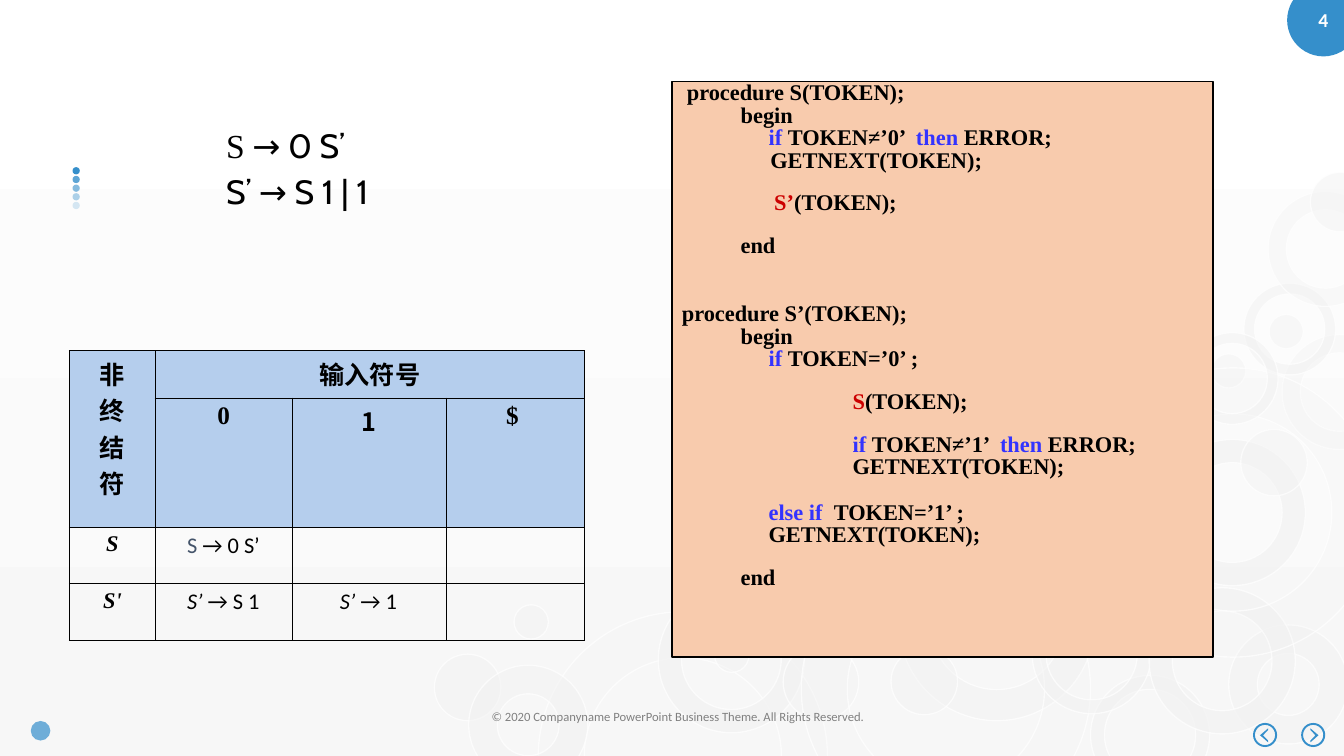
"""Builds a slide on recursive-descent procedures and their parsing table."""
from dataclasses import dataclass
from typing import Any, NamedTuple

from lxml import etree
from pptx import Presentation
from pptx import util as u
from pptx.dml.color import RGBColor
from pptx.enum import shapes, text
from pptx.oxml.ns import qn

Pt = u.Pt
BLUE = RGBColor(0x35, 0x8F, 0xCB)
BUBBLE = RGBColor(0xF2, 0xF2, 0xF2)
WHITE = RGBColor(0xFF, 0xFF, 0xFF)
MIST = RGBColor(0xF7, 0xF7, 0xF7)
BLACK = RGBColor(0, 0, 0)
GREY = RGBColor(0x80, 0x80, 0x80)
SLATE = RGBColor(0x44, 0x54, 0x6A)
PEACH = RGBColor(0xF8, 0xCB, 0xAD)
HEADER = RGBColor(0xB5, 0xCE, 0xED)
KEYWORD = RGBColor(0x33, 0x33, 0xFF)
CALL = RGBColor(0xCC, 0, 0)
SERIF, SANS, HAN, ROUND = "Times New Roman", "Calibri", "Noto Sans CJK SC", "Cabin"
CENTER, LEFT = text.PP_ALIGN.CENTER, text.PP_ALIGN.LEFT


class Bubble(NamedTuple):
    left: float
    top: float
    size: float
    ring: float
    opacity: int


class Span(NamedTuple):
    words: str
    size: float = 16
    font: str = SERIF
    color: RGBColor = BLACK
    bold: bool = True
    italic: bool = False


@dataclass
class Line:
    spans: list[Span]
    indent: float = 0
    before: float = 3.2
    align: Any = LEFT
    spacing: float = 0


@dataclass
class Entry:
    row: int
    col: int
    line: Line
    left: float = 14.4


BUBBLES = [Bubble(*b) for b in (
    (828, 313.9, 104.4, 0.159, 75), (915.8, 239, 82.1, 0.159, 31),
    (384.5, 437, 206.6, 0.159, 13), (779, 482.4, 85, 0.117, 54),
    (888.5, 202.3, 65.5, 0.117, 54), (886.3, 306.7, 47.5, 0, 47),
    (865.4, 252.7, 24.5, 0, 47), (642.2, 375.1, 139.7, 0.159, 42),
    (470.2, 419, 104.4, 0.159, 75), (559.4, 460.1, 54, 0, 39),
    (572.4, 388.8, 206.6, 0.159, 13), (737.3, 424.8, 85, 0.117, 54),
    (877.7, 446.4, 85, 0.24, 54), (310.3, 467.3, 47.5, 0, 47),
    (510.5, 455.8, 24.5, 0, 47), (820.8, 419.8, 104.4, 0.159, 75),
    (905.8, 136.8, 82.1, 0.159, 31), (936, 123.1, 42.5, 0, 47),
    (777.6, 262.8, 206.6, 0.159, 13), (847.4, 237.6, 65.5, 0.117, 54),
    (334.8, 475.2, 85, 0.24, 54), (906.5, 224.6, 24.5, 0, 47),
    (636.5, 463, 47.5, 0, 47), (367.2, 432, 24.5, 0, 47))]


def code(indent: float, *parts: Any, before: float = 3.2) -> Line:
    spans = [Span(p) if isinstance(p, str) else Span(p[0], color=p[1]) for p in parts]
    return Line(spans, indent, before, spacing=13)


IF, THEN = ("if ", KEYWORD), (" then ", KEYWORD)
PROCEDURES = [
    code(3.6, "procedure S(TOKEN);"),
    code(42, "begin"),
    code(62, IF, "TOKEN≠’0’ ", THEN, "ERROR;"),
    code(63.2, "GETNEXT(TOKEN);"),
    code(66, ("S’", CALL), "(TOKEN);", before=17.4),
    code(42, "end", before=17.4),
    code(0, "procedure S’(TOKEN);", before=35.6),
    code(42, "begin"),
    code(62, IF, "TOKEN=’0’ ;"),
    code(122, ("S", CALL), "(TOKEN);", before=17.4),
    code(122, IF, "TOKEN≠’1’ ", THEN, "ERROR;", before=17.4),
    code(122, "GETNEXT(TOKEN);"),
    code(62, ("else if  ", KEYWORD), "TOKEN=’1’ ;", before=19.4),
    code(62, "GETNEXT(TOKEN);"),
    code(42, "end", before=17.4)]
GRAMMAR = [
    Line([Span("S", 24, bold=False), Span(" → 0 S’", 24, ROUND, bold=False)], 99, spacing=28),
    Line([Span("S’ → S 1 | 1", 24, ROUND, bold=False)], 99, 4.8, spacing=28)]


def heading(words: str, font: str = SERIF, size: float = 18, italic: bool = False) -> Line:
    return Line([Span(words, size, font, italic=italic)], align=CENTER)


def rule(head: str, tail: str, color: RGBColor = BLACK, italic: bool = True) -> Line:
    return Line([Span(head, 16, SANS, color, False, italic), Span(tail, 16, SANS, bold=False)])


PARSING_TABLE = [
    Entry(0, 0, heading("非终结符", HAN)), Entry(0, 1, heading("输入符号", HAN)),
    Entry(1, 1, heading("0")), Entry(1, 2, heading("1", HAN)), Entry(1, 3, heading("$ ")),
    Entry(2, 0, heading("S", size=16, italic=True)),
    Entry(2, 1, rule("S", " → 0 S’", SLATE, False), 22.8),
    Entry(3, 0, heading("S'", size=16, italic=True)),
    Entry(3, 1, rule("S’ ", "→ S 1"), 22.8), Entry(3, 2, rule("S’", " → 1"), 34)]


def style(target: Any, formats: dict[str, Any]) -> None:
    for name, value in formats.items():
        setattr(target, name, value)


def fade(parent: Any, percent: int) -> None:
    color = parent.find(qn("a:solidFill"))[0]
    etree.SubElement(color, qn("a:alpha")).set("val", str(percent * 1000))


def write(frame: Any, lines: list[Line]) -> None:
    for index, line in enumerate(lines):
        para = frame.add_paragraph() if index else frame.paragraphs[0]
        para.alignment = line.align
        if line.indent:
            para._p.get_or_add_pPr().set("marL", str(Pt(line.indent)))
        if line.spacing:
            para.line_spacing = Pt(line.spacing)
        if index:
            para.space_before = Pt(line.before)
        for span in line.spans:
            run = para.add_run()
            run.text = span.words
            style(run.font, {"size": Pt(span.size), "name": span.font,
                             "bold": span.bold, "italic": span.italic})
            run.font.color.rgb = span.color
            if span.font == HAN:
                etree.SubElement(run._r.rPr, qn("a:ea")).set("typeface", HAN)


def paint(shape: Any, fill: RGBColor, line: RGBColor | None = None) -> Any:
    shape.shadow.inherit = False
    shape.fill.solid()
    shape.fill.fore_color.rgb = fill
    if line is None:
        shape.line.fill.background()
    else:
        shape.line.color.rgb = line
        shape.line.width = Pt(1)
    return shape


def add_round(slide: Any, b: Bubble, fill: RGBColor, line: RGBColor | None = None) -> Any:
    kind = shapes.MSO_SHAPE.DONUT if b.ring else shapes.MSO_SHAPE.OVAL
    circle = slide.shapes.add_shape(kind, Pt(b.left), Pt(b.top), Pt(b.size), Pt(b.size))
    if b.ring:
        circle.adjustments[0] = b.ring
    paint(circle, fill, line)
    if b.opacity < 100:
        fade(circle._element.spPr, b.opacity)
    if line is not None:
        fade(circle._element.spPr.find(qn("a:ln")), 70)
    return circle


def add_arrow_button(slide: Any, left: float, tip: float, direction: int) -> None:
    add_round(slide, Bubble(left, 516.4, 17.2, 0.08, 100), BLUE)
    outline = [(-5.8, -5), (-5.8, -3.8), (-2.2, 0), (-5.8, 3.8), (-5.8, 5), (0, 0)]
    points = [(Pt(tip + direction * x), Pt(525.2 + y)) for x, y in outline]
    pen = slide.shapes.build_freeform(*points[0])
    pen.add_line_segments(points[1:], close=True)
    paint(pen.convert_to_shape(), BLUE)


def add_text(slide: Any, box: tuple[float, ...], lines: list[Line]) -> None:
    frame = slide.shapes.add_textbox(*map(Pt, box)).text_frame
    frame.word_wrap = True
    write(frame, lines)


def add_parsing_table(slide: Any) -> None:
    widths, heights = (61.2, 97.9, 110.2, 98.6), (33.8, 91.5, 40.3, 40.3)
    grid = slide.shapes.add_table(4, 4, Pt(49.7), Pt(250.6), Pt(sum(widths)), Pt(sum(heights))).table
    style(grid, {"first_row": False, "horz_banding": False})
    for column, width in zip(grid.columns, widths):
        column.width = Pt(width)
    for row, height in zip(grid.rows, heights):
        row.height = Pt(height)
    for index, cell in enumerate(grid.iter_cells()):
        for side in ("lnL", "lnR", "lnT", "lnB"):
            border = etree.SubElement(cell._tc.get_or_add_tcPr(), qn(f"a:{side}"), w=str(Pt(1)))
            ink = etree.SubElement(border, qn("a:solidFill"))
            etree.SubElement(ink, qn("a:srgbClr"), val=str(BLACK))
        if index < 8:
            cell.fill.solid()
            cell.fill.fore_color.rgb = HEADER
        else:
            cell.fill.background()
    grid.cell(0, 0).merge(grid.cell(1, 0))
    grid.cell(0, 1).merge(grid.cell(0, 3))
    for entry in PARSING_TABLE:
        cell = grid.cell(entry.row, entry.col)
        right = 14.4 if entry.line.align == CENTER else 0
        style(cell, {"margin_left": Pt(entry.left), "margin_right": Pt(right),
                     "margin_top": Pt(3), "margin_bottom": Pt(3)})
        write(cell.text_frame, [entry.line])


def main() -> None:
    deck = Presentation()
    style(deck, {"slide_width": Pt(960), "slide_height": Pt(540)})
    slide = deck.slides.add_slide(deck.slide_layouts[6])
    backdrop = slide.background.fill
    backdrop.gradient()
    backdrop.gradient_angle = 270
    for stop, color in zip(backdrop.gradient_stops, (WHITE, MIST)):
        stop.color.rgb = color
    for step in range(5):
        add_round(slide, Bubble(51.8, 119.4 + 6.2 * step, 5.2, 0, 100 - 20 * step), BLUE)
    for bubble in BUBBLES:
        add_round(slide, bubble, BUBBLE, WHITE)
    add_round(slide, Bubble(22, 515, 14, 0, 70), BLUE)
    add_arrow_button(slide, 929.4, 941.8, 1)
    add_arrow_button(slide, 895, 900, -1)
    notice = "© 2020 Companyname PowerPoint Business Theme. All Rights Reserved."
    add_text(slide, (244, 502.6, 480, 18), [Line([Span(notice, 9, SANS, GREY, False)], align=CENTER)])
    page = add_round(slide, Bubble(919.4, -11.5, 51.8, 0, 100), BLUE)
    write(page.text_frame, [Line([Span("4", 14, SANS, WHITE)], align=CENTER)])
    panel = slide.shapes.add_shape(shapes.MSO_SHAPE.RECTANGLE, Pt(480), Pt(58.3), Pt(386.6), Pt(411.1))
    paint(panel, PEACH, BLACK)
    style(panel.text_frame, {"vertical_anchor": text.MSO_ANCHOR.TOP, "word_wrap": True})
    write(panel.text_frame, PROCEDURES)
    add_parsing_table(slide)
    add_text(slide, (55.4, 86.4, 306.7, 69.8), GRAMMAR)
    deck.save("out.pptx")


if __name__ == "__main__":
    main()
